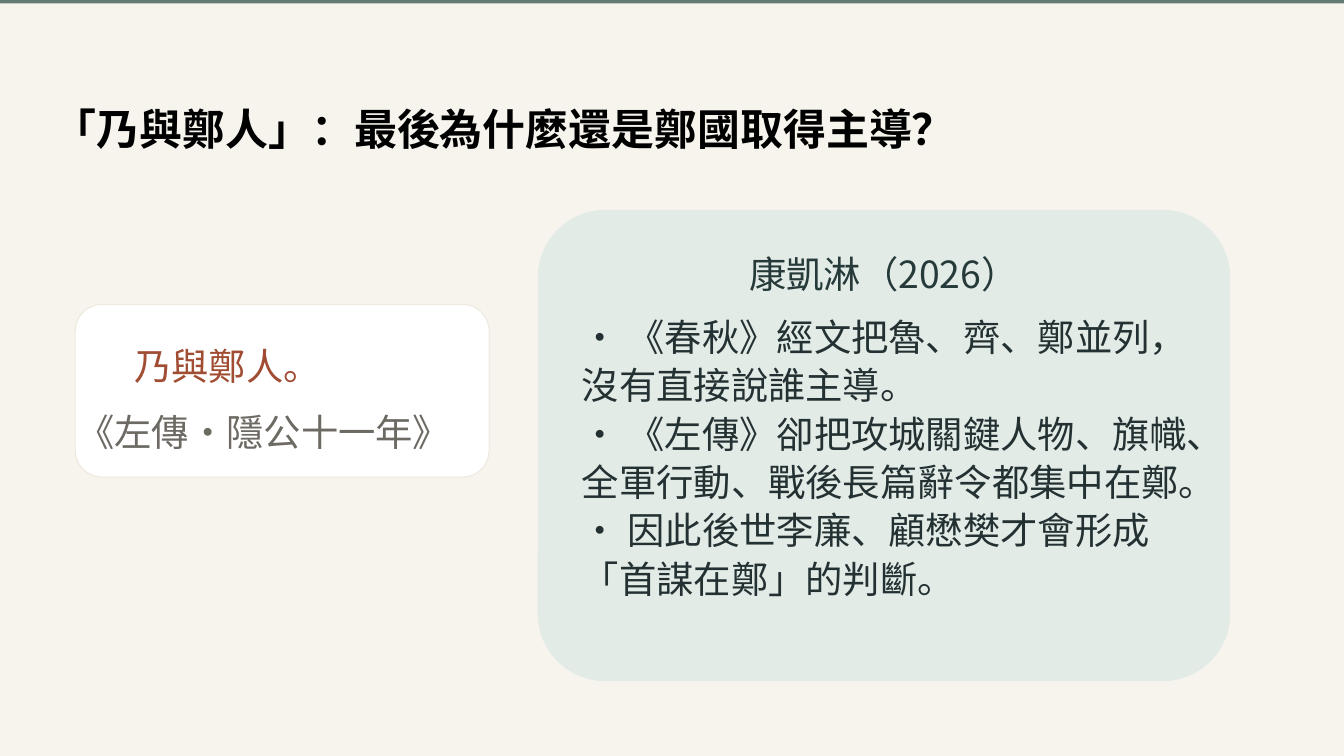
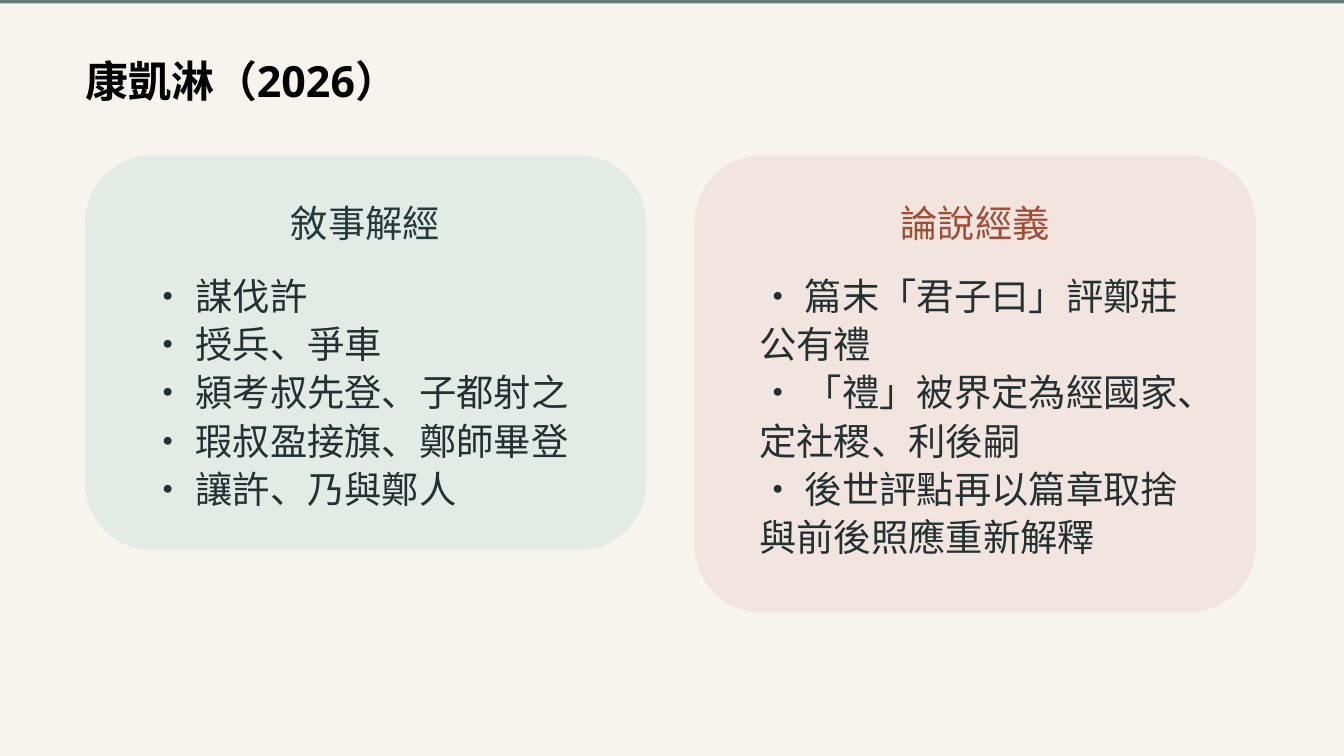
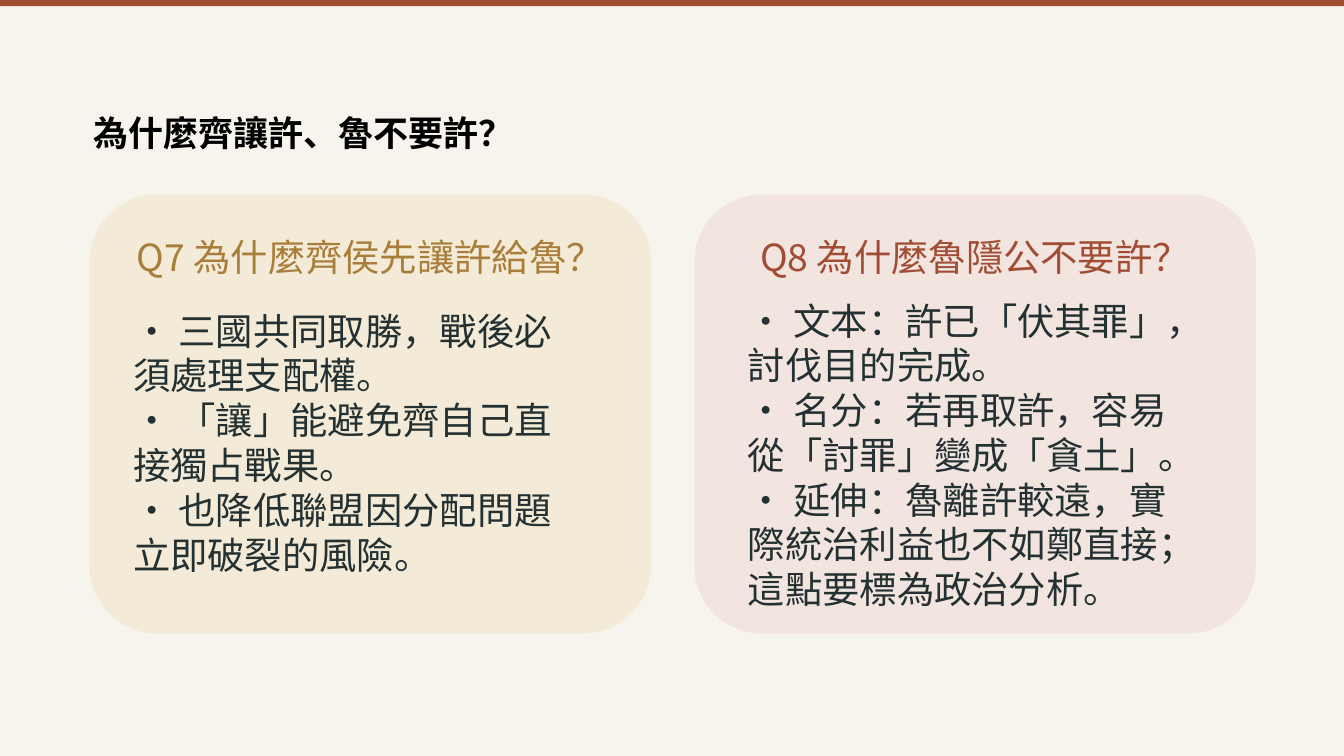
from lxml import etree
from pptx import Presentation
from pptx.dml.color import RGBColor
from pptx.enum.shapes import MSO_SHAPE
from pptx.enum.text import MSO_ANCHOR, MSO_AUTO_SIZE, PP_ALIGN
from pptx.oxml.ns import qn
from pptx.util import Inches, Pt

CREAM = RGBColor(0xF7, 0xF4, 0xEE)
WHITE = RGBColor(0xFF, 0xFF, 0xFF)
BLACK = RGBColor(0x00, 0x00, 0x00)
SAGE = RGBColor(0x64, 0x7A, 0x73)
RUST = RGBColor(0xA1, 0x4D, 0x34)
OCHRE = RGBColor(0xA8, 0x7E, 0x3A)
PINE = RGBColor(0x26, 0x3A, 0x3A)
INK = RGBColor(0x24, 0x31, 0x32)
GREY = RGBColor(0x6D, 0x6A, 0x64)
EDGE = RGBColor(0xEE, 0xE8, 0xDD)
MINT = RGBColor(0xE3, 0xEB, 0xE7)
BLUSH = RGBColor(0xF2, 0xE4, 0xDF)
SAND = RGBColor(0xF3, 0xEB, 0xD8)

BODY_FONT = "Noto Sans CJK JP"
BODY_SIZE = 40
HEADING_SPACING = 50.4
CARD_INSET = 0.59
CARD_WIDTH = 8.34
RIGHT_CARD = 10.34


class Deck:
    def __init__(self):
        self.prs = Presentation()
        self.prs.slide_width = Inches(20)
        self.prs.slide_height = Inches(11.25)
        fill = self.prs.slide_master.background.fill
        fill.solid()
        fill.fore_color.rgb = CREAM
        self.slide = None

    def add_slide(self, bar_color, bar_height):
        self.slide = self.prs.slides.add_slide(self.prs.slide_layouts[5])
        self.shape(MSO_SHAPE.RECTANGLE, 0, 0, 20, bar_height, bar_color)

    def shape(self, kind, x, y, w, h, color, line=None):
        sp = self.slide.shapes.add_shape(kind, Inches(x), Inches(y), Inches(w), Inches(h))
        sp.shadow.inherit = False
        sp.fill.solid()
        sp.fill.fore_color.rgb = color
        if line is None:
            sp.line.fill.background()
        else:
            sp.line.color.rgb = line
            sp.line.width = Pt(1.05)
        return sp

    def card(self, x, y, w, h, color, line=None, radius=1):
        sp = self.shape(MSO_SHAPE.ROUNDED_RECTANGLE, x, y, w, h, color, line or color)
        sp.adjustments[0] = radius / min(w, h)

    def set_text(self, sp, lines, color, spacing, size=BODY_SIZE, font=BODY_FONT,
                 align=PP_ALIGN.LEFT, bold=False):
        tf = sp.text_frame
        tf.word_wrap = True
        tf.auto_size = MSO_AUTO_SIZE.NONE
        tf.vertical_anchor = MSO_ANCHOR.TOP
        tf.margin_left = tf.margin_top = tf.margin_right = tf.margin_bottom = 0
        for i, line in enumerate(lines):
            p = tf.paragraphs[0] if i == 0 else tf.add_paragraph()
            p.text = line
            p.alignment = align
            p.line_spacing = Pt(spacing)
            p.font.name = font
            p.font.size = Pt(size)
            p.font.bold = bold
            p.font.color.rgb = color
            latin = p._p.pPr.find(qn("a:defRPr")).find(qn("a:latin"))
            ea = etree.Element(qn("a:ea"), typeface=font)
            latin.addnext(ea)

    def title(self, text, x, y, size=46, spacing=58, font="Noto Sans"):
        sp = self.slide.shapes.title
        sp.left, sp.top, sp.width, sp.height = map(Inches, (x, y, 17.9, 0.78))
        self.set_text(sp, [text], BLACK, spacing, size, font, bold=True)

    def text(self, lines, x, y, w, h, color, spacing, align=PP_ALIGN.LEFT):
        sp = self.slide.shapes.add_textbox(Inches(x), Inches(y), Inches(w), Inches(h))
        self.set_text(sp, lines, color, spacing, align=align)

    def heading(self, text, card_x, y, color, card_w=CARD_WIDTH, spacing=HEADING_SPACING):
        self.text([text], card_x + CARD_INSET, y, card_w - 2 * CARD_INSET, 0.7,
                  color, spacing, PP_ALIGN.CENTER)

    def points(self, items, x, y, w, h, spacing=51.8):
        self.text([f"• {item}" for item in items], x, y, w, h, INK, spacing)


def leading_role(deck):
    deck.add_slide(SAGE, 0.05)
    deck.title("「乃與鄭人」：最後為什麼還是鄭國取得主導？", 0.8, 1.49)
    deck.card(1.12, 4.53, 6.16, 2.57, WHITE, EDGE, radius=0.4)
    deck.text(["乃與鄭人。"], 2, 5.08, 4.7, 0.7, RUST, HEADING_SPACING)
    deck.text(["《左傳・隱公十一年》"], 1.14, 6.06, 5.56, 0.7, GREY, HEADING_SPACING,
              PP_ALIGN.RIGHT)
    deck.card(8.01, 3.13, 10.29, 7, MINT)
    deck.heading("康凱淋（2026）", 8.01, 3.71, PINE, card_w=10.29)
    deck.points([
        "《春秋》經文把魯、齊、鄭並列，沒有直接說誰主導。",
        "《左傳》卻把攻城關鍵人物、旗幟、全軍行動、戰後長篇辭令都集中在鄭。",
        "因此後世李廉、顧懋樊才會形成「首謀在鄭」的判斷。",
    ], 8.66, 4.62, 9.28, 5.02)


def two_readings(deck):
    deck.add_slide(SAGE, 0.05)
    deck.title("康凱淋（2026）", 1.27, 0.78)
    columns = [
        (1.27, 5.86, MINT, PINE, "敘事解經",
         ["謀伐許", "授兵、爭車", "潁考叔先登、子都射之", "瑕叔盈接旗、鄭師畢登",
          "讓許、乃與鄭人"]),
        (RIGHT_CARD, 6.79, BLUSH, RUST, "論說經義",
         ["篇末「君子曰」評鄭莊公有禮", "「禮」被界定為經國家、定社稷、利後嗣",
          "後世評點再以篇章取捨與前後照應重新解釋"]),
    ]
    for x, h, fill, color, heading, items in columns:
        deck.card(x, 2.32, CARD_WIDTH, h, fill)
        deck.heading(heading, x, 2.94, color)
        deck.points(items, x + 0.96, 4.01, 6.27, 4.3)


def declined_land(deck):
    deck.add_slide(RUST, 0.09)
    deck.title("為什麼齊讓許、魯不要許？", 1.39, 1.66, 37.5, 45, "Noto Serif")
    questions = [
        (1.34, SAND, OCHRE, "Q7 為什麼齊侯先讓許給魯？", 1.98, 4.58,
         ["三國共同取勝，戰後必須處理支配權。", "「讓」能避免齊自己直接獨占戰果。",
          "也降低聯盟因分配問題立即破裂的風險。"]),
        (RIGHT_CARD, BLUSH, RUST, "Q8 為什麼魯隱公不要許？", 11.13, 4.43,
         ["文本：許已「伏其罪」，討伐目的完成。",
          "名分：若再取許，容易從「討罪」變成「貪土」。",
          "延伸：魯離許較遠，實際統治利益也不如鄭直接；這點要標為政治分析。"]),
    ]
    for x, fill, color, heading, points_x, points_y, items in questions:
        deck.card(x, 2.9, CARD_WIDTH, 6.52, fill)
        deck.heading(heading, x, 3.48, color, spacing=48)
        deck.points(items, points_x, points_y, 6.76, 4.59, spacing=48)


def main():
    deck = Deck()
    leading_role(deck)
    two_readings(deck)
    declined_land(deck)
    deck.prs.save("out.pptx")


if __name__ == "__main__":
    main()
